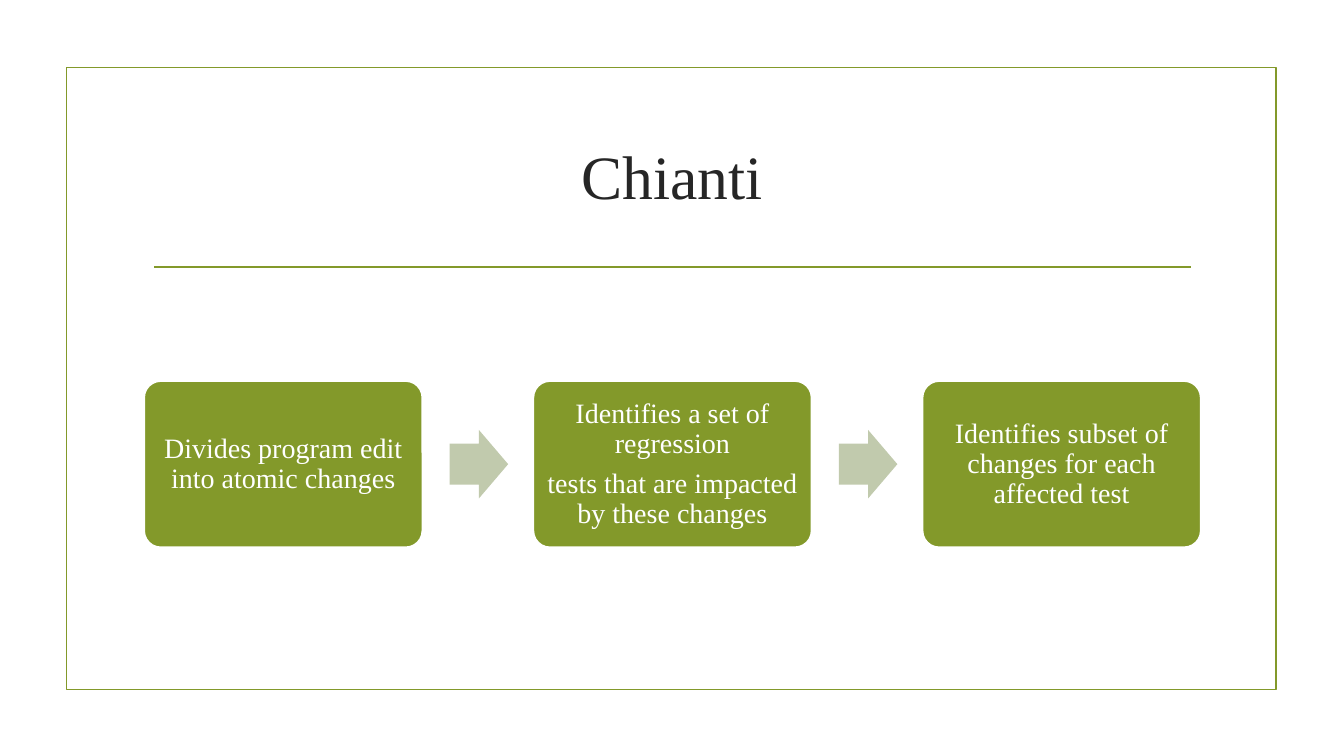
from pptx import Presentation
from pptx.dml.color import RGBColor
from pptx.enum.shapes import MSO_CONNECTOR, MSO_SHAPE
from pptx.enum.text import MSO_ANCHOR, PP_ALIGN
from pptx.oxml.ns import qn
from pptx.util import Inches, Pt
from lxml import etree

OLIVE = RGBColor(0x83, 0x99, 0x2A)
SAGE = RGBColor(0xC1, 0xCA, 0xAD)
DARK = RGBColor(0x26, 0x26, 0x26)
WHITE = RGBColor(0xFF, 0xFF, 0xFF)
FONT = "Times New Roman"
RECT = MSO_SHAPE.RECTANGLE
ROUNDED = MSO_SHAPE.ROUNDED_RECTANGLE
ARROW = MSO_SHAPE.RIGHT_ARROW
STRAIGHT = MSO_CONNECTOR.STRAIGHT
MIDDLE = MSO_ANCHOR.MIDDLE
CENTER = PP_ALIGN.CENTER

STEPS = [
    ["Divides program edit into atomic changes"],
    ["Identifies a set of regression", "tests that are impacted by these changes"],
    ["Identifies subset of changes for each affected test"],
]


def add_shape(s, kind, x, y, w, h, fill=None, line=None):
    """Add a preset shape with the given fill and line colours."""
    sp = s.shapes.add_shape(kind, Inches(x), Inches(y), Inches(w), Inches(h))
    sp.shadow.inherit = False
    if fill is None:
        sp.fill.background()
    else:
        sp.fill.solid()
        sp.fill.fore_color.rgb = fill
    if line is None:
        sp.line.fill.background()
    else:
        sp.line.color.rgb = line
        sp.line.width = Pt(1.25)
    return sp


def write(tf, paragraphs, size, color):
    """Write centred paragraphs into a text frame."""
    tf.word_wrap = True
    tf.vertical_anchor = MIDDLE
    for i, text in enumerate(paragraphs):
        p = tf.paragraphs[0] if i == 0 else tf.add_paragraph()
        p.alignment = CENTER
        p.line_spacing = 0.9
        p.space_after = Pt(size * 0.35)
        r = p.add_run()
        r.text = text
        r.font.name = FONT
        r.font.size = Pt(size)
        r.font.color.rgb = color


def add_header(s, x, y, w, h, title):
    """Place the title in its box and the rule beneath it."""
    sp = s.shapes.add_textbox(Inches(x), Inches(y), Inches(w), Inches(h))
    write(sp.text_frame, [title], 44, DARK)
    rule_y = Inches(y + h + 0.15)
    rule = s.shapes.add_connector(
        STRAIGHT, Inches(x + 0.11), rule_y, Inches(x + w - 0.11), rule_y)
    rule.line.color.rgb = OLIVE
    rule.line.width = Pt(1.25)
    etree.SubElement(rule._element.spPr, qn("a:effectLst"))


def add_process(s, x, y, w, h, steps):
    """Spread the steps over the box and join them with arrows."""
    step_w, arrow_w, arrow_h = 2.76, 0.58, 0.68
    pitch = (w - step_w) / (len(steps) - 1)
    for i, step in enumerate(steps):
        left = x + i * pitch
        if i:
            sp = add_shape(s, ARROW, left - 0.83, y + (h - arrow_h) / 2,
                           arrow_w, arrow_h, SAGE)
            sp.adjustments[0] = 0.6
            sp.adjustments[1] = 0.5
        sp = add_shape(s, ROUNDED, left, y, step_w, h, OLIVE, WHITE)
        sp.adjustments[0] = 0.1
        tf = sp.text_frame
        tf.margin_left = tf.margin_right = Inches(0.08)
        tf.margin_top = tf.margin_bottom = Inches(0.08)
        write(tf, step, 20, WHITE)


def main():
    """Build and save the slide."""
    prs = Presentation()
    prs.slide_width, prs.slide_height = Inches(13.33), Inches(7.5)
    s = prs.slides.add_slide(prs.slide_layouts[6])
    add_shape(s, RECT, 0.66, 0.67, 12, 6.17, line=OLIVE)
    add_header(s, 1.42, 1.07, 10.5, 1.43, "Chianti")
    add_process(s, 1.43, 3.78, 10.48, 1.65, STEPS)
    prs.save("out.pptx")


if __name__ == "__main__":
    main()
